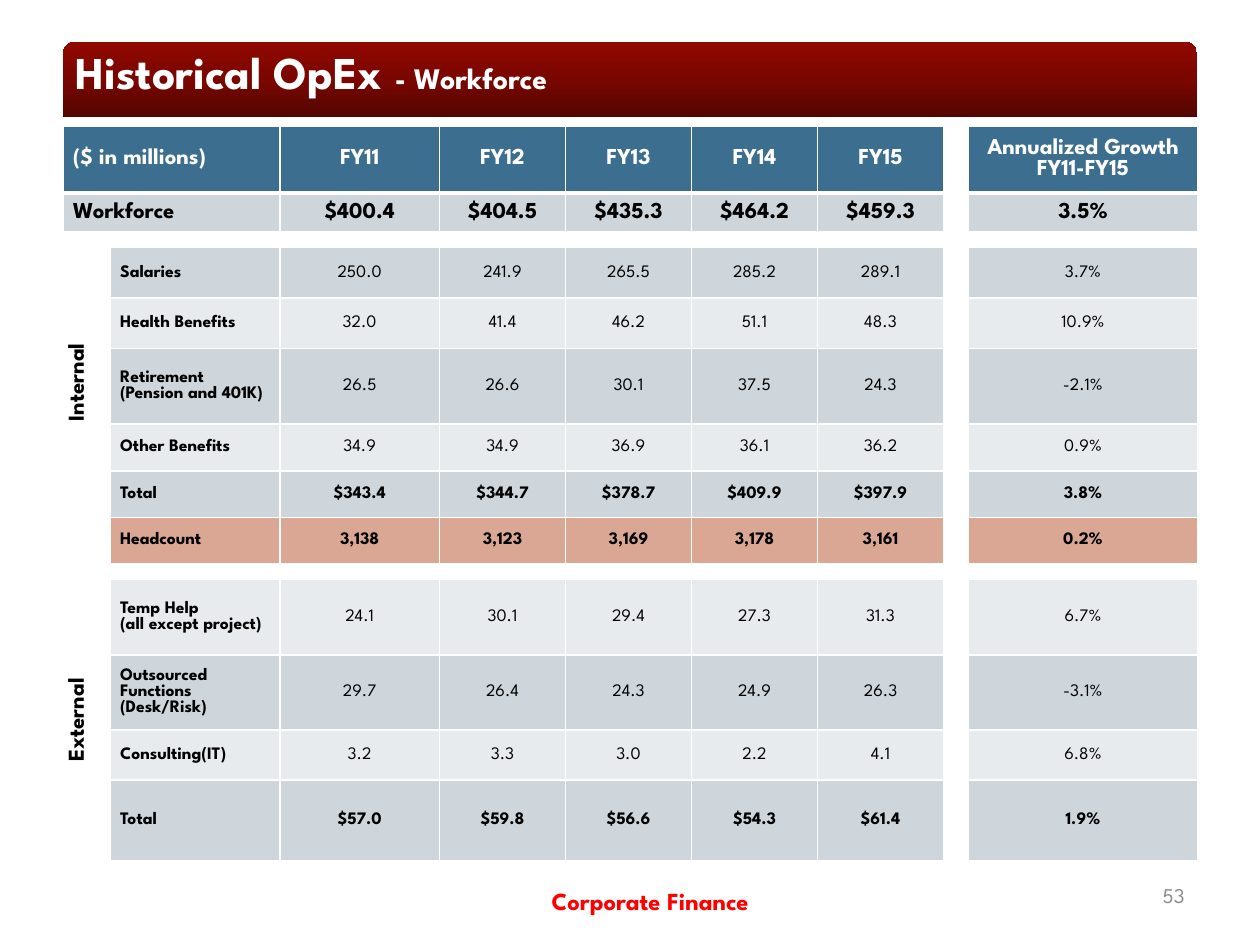
"""Build the historical workforce operating expense slide."""
from copy import deepcopy
from typing import NamedTuple

from lxml import etree
from pptx import Presentation
from pptx import util as u
from pptx.dml.color import RGBColor
from pptx.enum import shapes, text
from pptx.oxml import ns

FONT = "League Spartan"
COLORS = {
    "white": "FFFFFF", "black": "000000", "red": "FF0000", "gray": "8C8C8C",
    "header": "3B6E8F", "dark": "CED5DB", "light": "E8EBEE", "salmon": "D9A793",
    "bar_low": "550500", "bar_mid": "790700", "bar_top": "900800",
}
COLUMN_WIDTHS = [0.95, 3.42, 3.22] + [2.54] * 4 + [0.5, 4.62]
GAP_COLUMN, GROWTH_COLUMN = 7, 8


class Line(NamedTuple):
    """One row of the expense table."""
    height: float
    fill: str = "white"
    label: str = ""
    values: str = ""
    growth: str = ""
    bold: bool = False
    size: int = 10
    color: str = "black"
    wide: bool = False


class Group(NamedTuple):
    """A rotated heading spanning several rows."""
    label: str
    first: int
    last: int


LINES = [
    Line(1.35, "header", "($ in millions)", "FY11 FY12 FY13 FY14 FY15",
         "Annualized Growth\nFY11-FY15", True, 13, "white", True),
    Line(0.79, "dark", "Workforce", "$400.4 $404.5 $435.3 $464.2 $459.3",
         "3.5%", True, 13, "black", True),
    Line(0.31),
    Line(1.02, "dark", "Salaries", "250.0 241.9 265.5 285.2 289.1", "3.7%"),
    Line(1.02, "light", "Health Benefits", "32.0 41.4 46.2 51.1 48.3", "10.9%"),
    Line(1.52, "dark", "Retirement (Pension and 401K)", "26.5 26.6 30.1 37.5 24.3", "-2.1%"),
    Line(0.94, "light", "Other Benefits", "34.9 34.9 36.9 36.1 36.2", "0.9%"),
    Line(0.94, "dark", "Total", "$343.4 $344.7 $378.7 $409.9 $397.9", "3.8%", True),
    Line(0.94, "salmon", "Headcount", "3,138 3,123 3,169 3,178 3,161", "0.2%", True),
    Line(0.31),
    Line(1.52, "light", "Temp Help\n(all except project)", "24.1 30.1 29.4 27.3 31.3", "6.7%"),
    Line(1.52, "dark", "Outsourced Functions\n(Desk/Risk)", "29.7 26.4 24.3 24.9 26.3", "-3.1%"),
    Line(1.0, "light", "Consulting(IT)", "3.2 3.3 3.0 2.2 4.1", "6.8%"),
    Line(1.63, "dark", "Total", "$57.0 $59.8 $56.6 $54.3 $61.4", "1.9%", True),
]
GROUPS = [Group("Internal", 3, 7), Group("External", 10, 13)]


def rgb(name: str) -> RGBColor:
    """Look up a palette colour."""
    return RGBColor.from_string(COLORS[name])


def set_all(target, values: dict) -> None:
    """Set each attribute of the target."""
    for attribute, value in values.items():
        setattr(target, attribute, value)


def format_run(run, size: float, color: str, bold: bool) -> None:
    """Apply the slide font to a run."""
    set_all(run.font, {"name": FONT, "size": u.Pt(size), "bold": bold})
    run.font.color.rgb = rgb(color)


def write(frame, words: str, size: float, color: str, bold: bool, align: str) -> None:
    """Fill a text frame with uniformly formatted paragraphs."""
    frame.text = words
    for paragraph in frame.paragraphs:
        paragraph.alignment = getattr(text.PP_ALIGN, align)
        for run in paragraph.runs:
            format_run(run, size, color, bold)


def place(shape, left: float, top: float, width: float, height: float) -> None:
    """Position a shape, in centimetres."""
    set_all(shape, {"left": u.Cm(left), "top": u.Cm(top),
                    "width": u.Cm(width), "height": u.Cm(height)})


def draw_bar(slide) -> None:
    """Draw the gradient band behind the title."""
    bar = slide.shapes.add_shape(shapes.MSO_SHAPE.ROUND_2_SAME_RECTANGLE, 0, 0, 1, 1)
    place(bar, 1.27, 0.84, 22.86, 1.52)
    bar.shadow.inherit = False
    bar.line.fill.background()
    bar.fill.gradient()
    bar.fill.gradient_angle = 90
    first = next(bar._element.iter(ns.qn("a:gs")))
    first.addnext(deepcopy(first))
    stops = zip(bar.fill.gradient_stops, (0, 0.5, 1), ("bar_low", "bar_mid", "bar_top"))
    for stop, position, color in stops:
        stop.position = position
        stop.color.rgb = rgb(color)
    slide.shapes._spTree.insert(2, bar._element)


def write_title(slide) -> None:
    """Write the two-size heading in the title placeholder."""
    title = slide.shapes.title
    place(title, 1.27, -0.15, 22.86, 3.18)
    set_all(title.text_frame, {"vertical_anchor": text.MSO_ANCHOR.MIDDLE,
                               "word_wrap": True, "auto_size": text.MSO_AUTO_SIZE.NONE})
    heading = title.text_frame.paragraphs[0]
    heading.alignment = text.PP_ALIGN.LEFT
    for words, size in (("Historical OpEx ", 26), ("- Workforce", 17)):
        run = heading.add_run()
        run.text = words
        format_run(run, size, "white", True)


def draw_note(slide, box: tuple, words: str, size: float, color: str,
              bold: bool, align: str) -> None:
    """Draw one line of footer text."""
    note = slide.shapes.add_textbox(0, 0, 1, 1)
    place(note, *box)
    set_all(note.text_frame, {"word_wrap": True, "vertical_anchor": text.MSO_ANCHOR.MIDDLE})
    write(note.text_frame, words, size, color, bold, align)


def style_cell(cell, fill: str, top: float, bottom: float) -> None:
    """Give a cell white borders, a fill and margins."""
    properties = cell._tc.get_or_add_tcPr()
    for side, width in (("L", 1), ("R", 1), ("T", top), ("B", bottom)):
        border = etree.SubElement(properties, ns.qn(f"a:ln{side}"), w=str(u.Pt(width)))
        solid = etree.SubElement(border, ns.qn("a:solidFill"))
        etree.SubElement(solid, ns.qn("a:srgbClr"), val=COLORS["white"])
    cell.fill.solid()
    cell.fill.fore_color.rgb = rgb(fill)
    set_all(cell, {"margin_left": u.Cm(0.2), "margin_right": u.Cm(0.2),
                   "margin_top": u.Cm(0.1), "margin_bottom": u.Cm(0.1),
                   "vertical_anchor": text.MSO_ANCHOR.MIDDLE})


def shrink_empty(cell) -> None:
    """Keep a cell without text from stretching its row."""
    set_all(cell, {"margin_top": 0, "margin_bottom": 0})
    cell.text_frame.paragraphs[0]._p.get_or_add_endParaRPr().set("sz", "400")


def fill_line(table, index: int, line: Line) -> None:
    """Format and fill one table row."""
    label_column = 0 if line.wide else 1
    words = dict(enumerate(line.values.split(), 2))
    words |= {label_column: line.label, GROWTH_COLUMN: line.growth}
    for column in range(len(COLUMN_WIDTHS)):
        cell = table.cell(index, column)
        blank = column == GAP_COLUMN or column < label_column
        style_cell(cell, "white" if blank else line.fill,
                   3 if index == 1 else 1, 3 if index == 0 else 1)
        if words.get(column):
            is_label = column == label_column
            write(cell.text_frame, words[column], line.size, line.color,
                  line.bold or is_label, "LEFT" if is_label else "CENTER")
        else:
            shrink_empty(cell)
    if line.wide:
        table.cell(index, 0).merge(table.cell(index, 1))
    elif not line.label:
        table.cell(index, 1).merge(table.cell(index, GAP_COLUMN - 1))


def draw_table(slide) -> None:
    """Draw the expense table with its rotated group headings."""
    table = slide.shapes.add_table(len(LINES), len(COLUMN_WIDTHS), u.Cm(1.27), u.Cm(2.54),
                                   u.Cm(sum(COLUMN_WIDTHS)),
                                   u.Cm(sum(line.height for line in LINES))).table
    set_all(table, {"first_row": False, "horz_banding": False})
    for column, width in zip(table.columns, COLUMN_WIDTHS):
        column.width = u.Cm(width)
    for index, line in enumerate(LINES):
        table.rows[index].height = u.Cm(line.height)
        fill_line(table, index, line)
    for group in GROUPS:
        heading = table.cell(group.first, 0)
        heading.merge(table.cell(group.last, 0))
        write(heading.text_frame, group.label, 13, "black", True, "CENTER")
        set_all(heading, {"vertical_anchor": text.MSO_ANCHOR.BOTTOM,
                          "margin_top": u.Cm(0.1), "margin_bottom": u.Cm(0.1)})
        heading._tc.tcPr.set("vert", "vert270")


def main() -> None:
    """Build and save the slide."""
    deck = Presentation()
    set_all(deck, {"slide_width": u.Cm(25.4), "slide_height": u.Cm(19.05)})
    slide = deck.slides.add_slide(deck.slide_layouts[5])
    draw_bar(slide)
    write_title(slide)
    draw_note(slide, (6.76, 17.65, 12.7, 1.02), "Corporate Finance", 14, "red", True, "CENTER")
    draw_note(slide, (18.21, 17.53, 5.92, 1.02), "53", 12, "gray", False, "RIGHT")
    draw_table(slide)
    deck.save("out.pptx")


if __name__ == "__main__":
    main()
